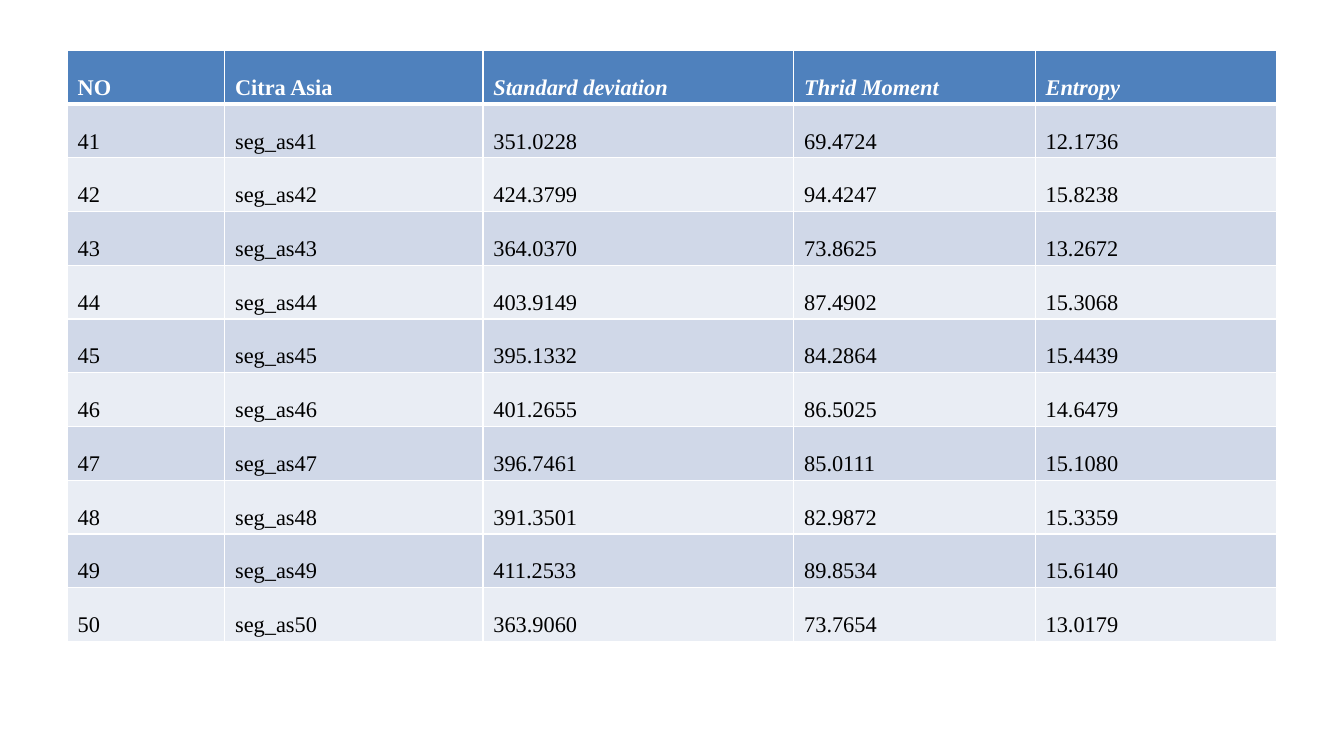
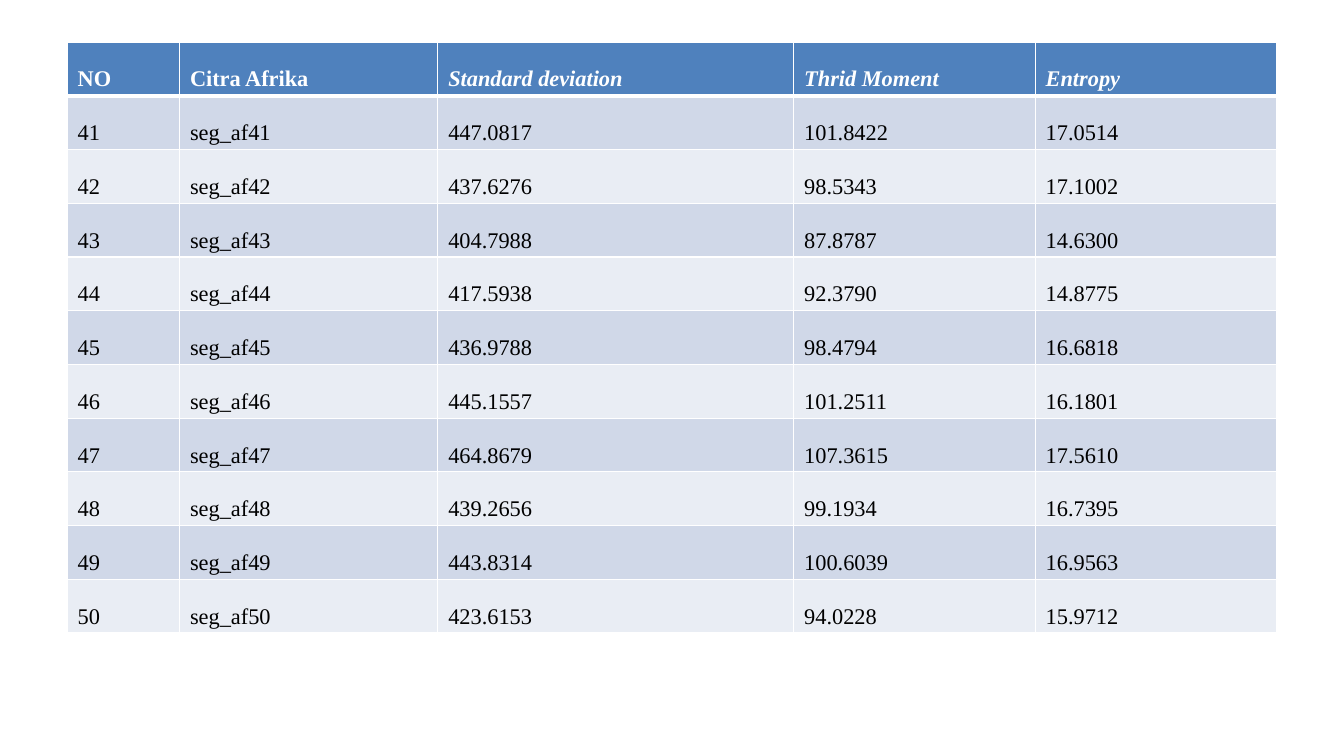
import dataclasses
import itertools

import lxml.etree
import pptx
import pptx.dml.color
import pptx.enum.text
import pptx.oxml.ns
import pptx.slide
import pptx.table
import pptx.text.text
import pptx.util

EMU_PER_PX = 9525
SLIDE_WIDTH, SLIDE_HEIGHT = 1280, 720
TABLE_LEFT, TABLE_HEIGHT = 64, 563
CELL_INSET = 10
FIRST_NUMBER = 41
MEASURES = ("Standard deviation", "Thrid Moment", "Entropy")


@dataclasses.dataclass(frozen=True)
class Theme:
    font: str = "Times New Roman"
    text_size: int = 16
    line_spacing: float = 2.0
    header_fill: str = "4F81BD"
    header_text: str = "FFFFFF"
    body_text: str = "000000"
    band_fills: tuple[str, str] = ("D0D8E8", "E9EDF4")
    border: str = "FFFFFF"
    border_width: int = 1
    header_rule_width: int = 3


@dataclasses.dataclass(frozen=True)
class FeatureTable:
    region: str
    prefix: str
    top: int
    column_widths: tuple[int, ...]
    measurements: tuple[tuple[str, str, str], ...]


THEME = Theme()

FEATURE_TABLES = (
    FeatureTable(
        region="Asia",
        prefix="seg_as",
        top=48,
        column_widths=(150, 246, 296, 230, 230),
        measurements=(
            ("351.0228", "69.4724", "12.1736"),
            ("424.3799", "94.4247", "15.8238"),
            ("364.0370", "73.8625", "13.2672"),
            ("403.9149", "87.4902", "15.3068"),
            ("395.1332", "84.2864", "15.4439"),
            ("401.2655", "86.5025", "14.6479"),
            ("396.7461", "85.0111", "15.1080"),
            ("391.3501", "82.9872", "15.3359"),
            ("411.2533", "89.8534", "15.6140"),
            ("363.9060", "73.7654", "13.0179"),
        ),
    ),
    FeatureTable(
        region="Afrika",
        prefix="seg_af",
        top=40,
        column_widths=(107, 246, 339, 230, 230),
        measurements=(
            ("447.0817", "101.8422", "17.0514"),
            ("437.6276", "98.5343", "17.1002"),
            ("404.7988", "87.8787", "14.6300"),
            ("417.5938", "92.3790", "14.8775"),
            ("436.9788", "98.4794", "16.6818"),
            ("445.1557", "101.2511", "16.1801"),
            ("464.8679", "107.3615", "17.5610"),
            ("439.2656", "99.1934", "16.7395"),
            ("443.8314", "100.6039", "16.9563"),
            ("423.6153", "94.0228", "15.9712"),
        ),
    ),
)


def px(length: int) -> pptx.util.Emu:
    return pptx.util.Emu(length * EMU_PER_PX)


def rgb(colour: str) -> pptx.dml.color.RGBColor:
    return pptx.dml.color.RGBColor.from_string(colour)


def write_text(
    frame: pptx.text.text.TextFrame,
    text: str,
    *,
    colour: str,
    bold: bool = False,
    italic: bool = False,
) -> None:
    paragraph = frame.paragraphs[0]
    paragraph.alignment = pptx.enum.text.PP_ALIGN.JUSTIFY
    paragraph.line_spacing = THEME.line_spacing
    run = paragraph.add_run()
    run.text = text
    run.font.name = THEME.font
    run.font.size = pptx.util.Pt(THEME.text_size)
    run.font.bold = bold
    run.font.italic = italic
    run.font.color.rgb = rgb(colour)


def add_borders(cell: pptx.table._Cell, bottom_width: int) -> None:
    """Line all four sides; call before filling, as the schema puts lines first."""
    qn = pptx.oxml.ns.qn
    properties = cell._tc.get_or_add_tcPr()
    for side in ("L", "R", "T", "B"):
        width = bottom_width if side == "B" else THEME.border_width
        line = lxml.etree.SubElement(
            properties, qn(f"a:ln{side}"), w=str(pptx.util.Pt(width))
        )
        fill = lxml.etree.SubElement(line, qn("a:solidFill"))
        lxml.etree.SubElement(fill, qn("a:srgbClr"), val=THEME.border)


def style_cell(cell: pptx.table._Cell, fill: str, bottom_width: int) -> None:
    cell.margin_left = cell.margin_right = px(CELL_INSET)
    cell.margin_top = cell.margin_bottom = 0
    add_borders(cell, bottom_width)
    cell.fill.solid()
    cell.fill.fore_color.rgb = rgb(fill)


def add_feature_table(slide: pptx.slide.Slide, features: FeatureTable) -> None:
    row_count = len(features.measurements) + 1
    table = slide.shapes.add_table(
        row_count,
        len(features.column_widths),
        px(TABLE_LEFT),
        px(features.top),
        px(sum(features.column_widths)),
        px(TABLE_HEIGHT),
    ).table
    for column, width in zip(table.columns, features.column_widths):
        column.width = px(width)
    for row in table.rows:
        row.height = px(TABLE_HEIGHT) // row_count

    headings = ("NO", f"Citra {features.region}", *MEASURES)
    for cell, heading in zip(table.rows[0].cells, headings):
        style_cell(cell, THEME.header_fill, THEME.header_rule_width)
        write_text(
            cell.text_frame,
            heading,
            colour=THEME.header_text,
            bold=True,
            italic=heading in MEASURES,
        )

    bands = itertools.cycle(THEME.band_fills)
    numbered = enumerate(features.measurements, FIRST_NUMBER)
    for (number, measured), band in zip(numbered, bands):
        cells = table.rows[number - FIRST_NUMBER + 1].cells
        values = (str(number), f"{features.prefix}{number}", *measured)
        for cell, value in zip(cells, values):
            style_cell(cell, band, THEME.border_width)
            write_text(cell.text_frame, value, colour=THEME.body_text)


def main() -> None:
    presentation = pptx.Presentation()
    presentation.slide_width = px(SLIDE_WIDTH)
    presentation.slide_height = px(SLIDE_HEIGHT)
    blank_layout = presentation.slide_layouts[6]
    for features in FEATURE_TABLES:
        add_feature_table(presentation.slides.add_slide(blank_layout), features)
    presentation.save("out.pptx")


if __name__ == "__main__":
    main()
